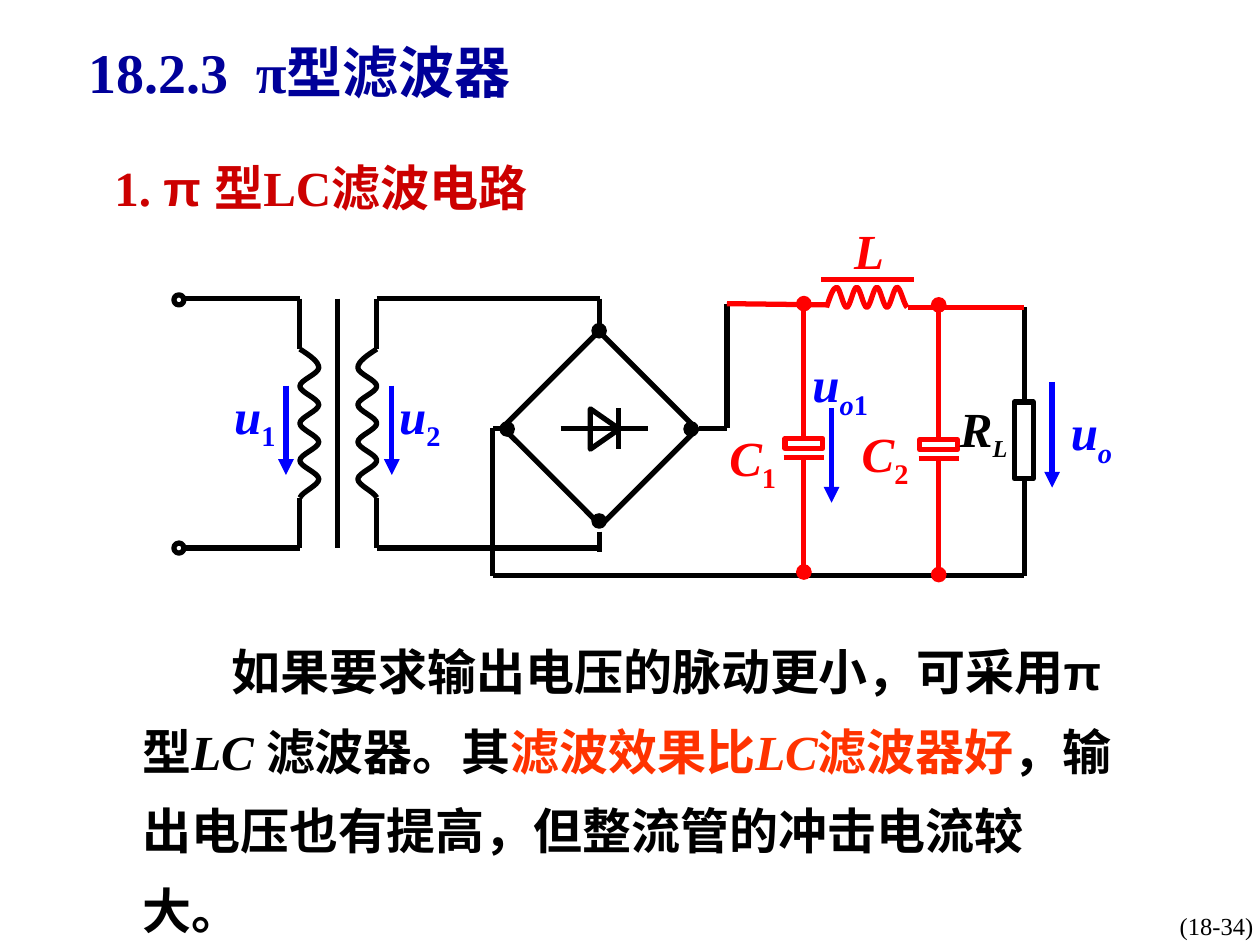
import math
from dataclasses import dataclass
from itertools import pairwise

from lxml import etree
from pptx import Presentation
from pptx import util as u
from pptx.dml import color
from pptx.enum import shapes, text
from pptx.oxml import ns

COLORS = {"ink": "000000", "title": "000099", "heading": "CC0000",
          "filter": "FF0000", "signal": "0000FF", "accent": "FF3300"}
SERIF, SANS = "Times New Roman", "Arial"
MAIN_SIZE = 28
STROKE = 3
UNITS = 1000


@dataclass
class Span:
    words: str
    ink: str = "ink"
    size: float = MAIN_SIZE
    font: str = SERIF
    bold: bool = True
    italic: bool = False
    sub: bool = False


@dataclass
class Label:
    box: tuple[float, float, float, float]
    spans: list[Span]
    wrap: bool = True


@dataclass
class Wire:
    points: list[tuple[float, float]]
    ink: str = "ink"
    tail: str = ""


@dataclass
class Capacitor:
    x: float
    top: float
    plate: float
    bottom: float


@dataclass
class Coil:
    start: tuple[float, float]
    end: tuple[float, float]
    depth: float
    ink: str = "ink"


def rgb(ink: str) -> color.RGBColor:
    return color.RGBColor.from_string(COLORS[ink])


def write(frame, spans: list[Span], wrap: bool = True):
    frame.word_wrap = wrap
    frame.vertical_anchor = text.MSO_ANCHOR.TOP
    paragraph = frame.paragraphs[0]
    paragraph.space_before = u.Pt(0)
    for span in spans:
        run = paragraph.add_run()
        run.text = span.words
        run.font.name, run.font.size = span.font, u.Pt(span.size)
        run.font.bold, run.font.italic = span.bold, span.italic
        run.font.color.rgb = rgb(span.ink)
        if span.sub:
            run._r.get_or_add_rPr().set("baseline", "-25000")
    return paragraph


def place(holder, box: tuple[float, float, float, float]) -> None:
    holder.left, holder.top, holder.width, holder.height = map(u.Inches, box)
    holder.text_frame.auto_size = text.MSO_AUTO_SIZE.NONE


def add_label(slide, label: Label):
    holder = slide.shapes.add_textbox(*map(u.Inches, label.box))
    paragraph = write(holder.text_frame, label.spans, label.wrap)
    holder.text_frame.auto_size = text.MSO_AUTO_SIZE.SHAPE_TO_FIT_TEXT
    return paragraph


def add_wire(slide, wire: Wire) -> None:
    for start, end in pairwise(wire.points):
        segment = slide.shapes.add_connector(
            shapes.MSO_CONNECTOR.STRAIGHT, *map(u.Inches, start + end))
        segment.line.color.rgb = rgb(wire.ink)
        segment.line.width = u.Pt(STROKE)
        properties = segment._element.spPr
        if wire.tail:
            outline = properties.find(ns.qn("a:ln"))
            etree.SubElement(outline, ns.qn("a:tailEnd"), type=wire.tail)
        etree.SubElement(properties, ns.qn("a:effectLst"))


def outline_part(part, ink: str, width: float = STROKE, filled: bool = False) -> None:
    part.shadow.inherit = False
    part.line.color.rgb = rgb(ink)
    part.line.width = u.Pt(width)
    if filled:
        part.fill.solid()
        part.fill.fore_color.rgb = rgb(ink)
    else:
        part.fill.background()


def add_part(slide, kind, box, ink: str = "ink", rotation: float = 0,
             width: float = STROKE, filled: bool = False) -> None:
    part = slide.shapes.add_shape(kind, *map(u.Inches, box))
    part.rotation = rotation
    outline_part(part, ink, width, filled)


def add_coil(slide, coil: Coil, turns: int = 4) -> None:
    (x, y), (end_x, end_y) = coil.start, coil.end
    halves = 2 * turns
    step = ((end_x - x) / halves, (end_y - y) / halves)
    reach = coil.depth / math.hypot(*step)
    crests = [(x + step[0] * n + step[1] * reach * (n % 2),
               y + step[1] * n - step[0] * reach * (n % 2)) for n in range(halves + 1)]
    builder = slide.shapes.build_freeform(
        *(round(c * UNITS) for c in crests[0]), scale=u.Inches(1) / UNITS)
    builder.add_line_segments(
        [(round(cx * UNITS), round(cy * UNITS)) for cx, cy in crests[1:]], close=False)
    winding = builder.convert_to_shape()
    outline_part(winding, coil.ink)
    bends = list(winding._element.iter(ns.qn("a:lnTo")))
    knots = [(int(p.get("x")), int(p.get("y"))) for p in winding._element.iter(ns.qn("a:pt"))]
    for n, (bend, (before, after)) in enumerate(zip(bends, pairwise(knots))):
        lead = 0.5 if n == 0 else 0
        trail = 0.15 if n == halves - 1 else 0
        third = [s * UNITS / 3 for s in step]
        sideways = [b - a - 3 * t for a, b, t in zip(before, after, third)]
        controls = ([a + t + lead * s for a, t, s in zip(before, third, sideways)],
                    [b - t - trail * s for b, t, s in zip(after, third, sideways)])
        bend.tag = ns.qn("a:cubicBezTo")
        for place_at, (cx, cy) in enumerate(controls):
            bend.insert(place_at, etree.Element(
                ns.qn("a:pt"), x=str(round(cx)), y=str(round(cy))))


def add_capacitor(slide, cap: Capacitor) -> None:
    lower = cap.plate + 0.15
    add_part(slide, shapes.MSO_SHAPE.RECTANGLE,
             (cap.x - 0.15, cap.plate, 0.3, 0.08), "filter")
    add_wire(slide, Wire([(cap.x - 0.16, lower), (cap.x + 0.16, lower)], "filter"))
    add_wire(slide, Wire([(cap.x, lower), (cap.x, cap.bottom)], "filter", "oval"))
    add_wire(slide, Wire([(cap.x, cap.plate), (cap.x, cap.top)], "filter", "oval"))


def symbol(letter: str, ink: str, *subs: Span) -> list[Span]:
    return [Span(letter, ink, italic=True), *subs]


def index(words: str, ink: str, italic: bool = False, size: float = MAIN_SIZE) -> Span:
    return Span(words, ink, size, italic=italic, sub=True)


TOP, BOTTOM, COIL_TOP, COIL_BOTTOM = 2.37, 4.35, 2.77, 3.95
PRIMARY, SECONDARY, BRIDGE_X, BRIDGE_Y = 2.38, 2.99, 4.76, 3.4

WIRES = [
    Wire([(1.45, TOP), (PRIMARY, TOP), (PRIMARY, COIL_TOP)]),
    Wire([(1.45, BOTTOM), (PRIMARY, BOTTOM), (PRIMARY, COIL_BOTTOM)]),
    Wire([(2.68, TOP), (2.68, BOTTOM)]),
    Wire([(SECONDARY, COIL_TOP), (SECONDARY, TOP), (BRIDGE_X, TOP), (BRIDGE_X, 2.61)]),
    Wire([(SECONDARY, COIL_BOTTOM), (SECONDARY, BOTTOM), (BRIDGE_X, BOTTOM)]),
    Wire([(BRIDGE_X, 4.22), (BRIDGE_X, 4.38)]),
    Wire([(4.45, BRIDGE_Y), (5.14, BRIDGE_Y)]),
    Wire([(4.91, 3.24), (4.91, 3.56)]),
    Wire([(3.99, BRIDGE_Y), (3.91, BRIDGE_Y), (3.91, 4.57), (8.13, 4.57), (8.13, 3.81)]),
    Wire([(5.55, BRIDGE_Y), (5.77, BRIDGE_Y), (5.77, 2.41)]),
    Wire([(8.13, 3.2), (8.13, 2.44)]),
    Wire([(5.77, 2.41), (6.56, 2.42)], "filter"),
    Wire([(7.21, 2.44), (8.13, 2.44)], "filter"),
    Wire([(6.52, 2.22), (7.25, 2.22)], "filter"),
] + [Wire([(x, top), (x, bottom)], "signal", "triangle") for x, top, bottom in
     [(2.27, 3.06, 3.77), (3.11, 3.06, 3.77), (6.6, 3.24, 3.99), (8.35, 3.03, 3.87)]]

COILS = [Coil((PRIMARY, COIL_TOP), (PRIMARY, COIL_BOTTOM), 0.15),
         Coil((SECONDARY, COIL_TOP), (SECONDARY, COIL_BOTTOM), -0.15),
         Coil((6.56, 2.44), (7.2, 2.44), 0.16, "filter")]

LABELS = [
    Label((1.76, 3.01, 0.87, 0.63), symbol("u", "signal", index("1", "signal"))),
    Label((3.07, 3.01, 0.8, 0.63), symbol("u", "signal", index("2", "signal"))),
    Label((6.68, 1.7, 0.44, 0.57), symbol("L", "filter"), wrap=False),
    Label((8.4, 3.14, 0.8, 0.63), symbol("u", "signal", index("o", "signal", True))),
    Label((6.35, 2.76, 0.64, 0.63), symbol("u", "signal", index("o", "signal", True),
                                           index("1", "signal")), wrap=False),
    Label((5.69, 3.34, 0.9, 0.63), symbol("C", "filter", index("1", "filter"))),
    Label((6.74, 3.31, 0.9, 0.63), symbol("C", "filter", index("2", "filter"))),
    Label((7.52, 3.11, 0.6, 0.61), symbol("R", "ink", index("L", "ink", True, 24))),
    Label((0.81, 1.2, 5.45, 0.57), [Span("1. ", "heading"), Span("π ", "heading", font=SANS),
                                    Span("型LC滤波电路", "heading")]),
]

BODY = [Span("如果要求输出电压的脉动更小，可采用"), Span("π", font=SANS), Span(" 型"),
        Span("LC ", italic=True), Span("滤波器。其"), Span("滤波效果比", "accent"),
        Span("LC", "accent", italic=True), Span("滤波器好", "accent"),
        Span("，输出电压也有提高，但整流管的冲击电流较大。")]


def main() -> None:
    deck = Presentation()
    deck.slide_width, deck.slide_height = u.Inches(10), u.Inches(7.5)
    slide = deck.slides.add_slide(deck.slide_layouts[1])
    title, body = slide.shapes.title, slide.placeholders[1]

    place(title, (0.6, 0.25, 5.35, 0.64))
    heading = write(title.text_frame, [Span("18.2.3\tπ型滤波器", "title", 32)])
    heading.alignment = text.PP_ALIGN.LEFT
    stops = etree.SubElement(heading._p.get_or_add_pPr(), ns.qn("a:tabLst"))
    etree.SubElement(stops, ns.qn("a:tab"), pos=str(u.Inches(1.33)), algn="l")

    place(body, (1.03, 4.88, 7.96, 1.99))
    passage = write(body.text_frame, BODY)
    passage.line_spacing = 1.35
    layout = passage._p.get_or_add_pPr()
    layout.set("marL", "0")
    layout.set("indent", str(u.Inches(0.71)))
    layout.set("hangingPunct", "0")
    etree.SubElement(layout, ns.qn("a:buNone"))

    for wire in WIRES:
        add_wire(slide, wire)
    for coil in COILS:
        add_coil(slide, coil)
    for y in (2.34, 4.31):
        add_part(slide, shapes.MSO_SHAPE.OVAL, (1.38, y, 0.08, 0.08))
    add_part(slide, shapes.MSO_SHAPE.RECTANGLE, (4.21, 2.86, 1.1, 1.08), rotation=45)
    add_part(slide, shapes.MSO_SHAPE.ISOSCELES_TRIANGLE, (4.64, 3.29, 0.32, 0.23), rotation=90)
    add_part(slide, shapes.MSO_SHAPE.RECTANGLE, (8.05, 3.19, 0.15, 0.61))
    for x, y in [(5.43, 3.35), (4.7, 2.57), (3.97, 3.35), (4.7, 4.08)]:
        add_part(slide, shapes.MSO_SHAPE.OVAL, (x, y, 0.11, 0.11), width=1, filled=True)
    for cap in (Capacitor(6.38, 2.41, 3.48, 4.54), Capacitor(7.45, 2.42, 3.49, 4.56)):
        add_capacitor(slide, cap)
    for label in LABELS:
        add_label(slide, label)
    page = add_label(slide, Label((8.69, 7.18, 1.93, 0.33), [Span("(18-34)", size=14, bold=False)]))
    page.alignment = text.PP_ALIGN.CENTER
    deck.save("out.pptx")


if __name__ == "__main__":
    main()
